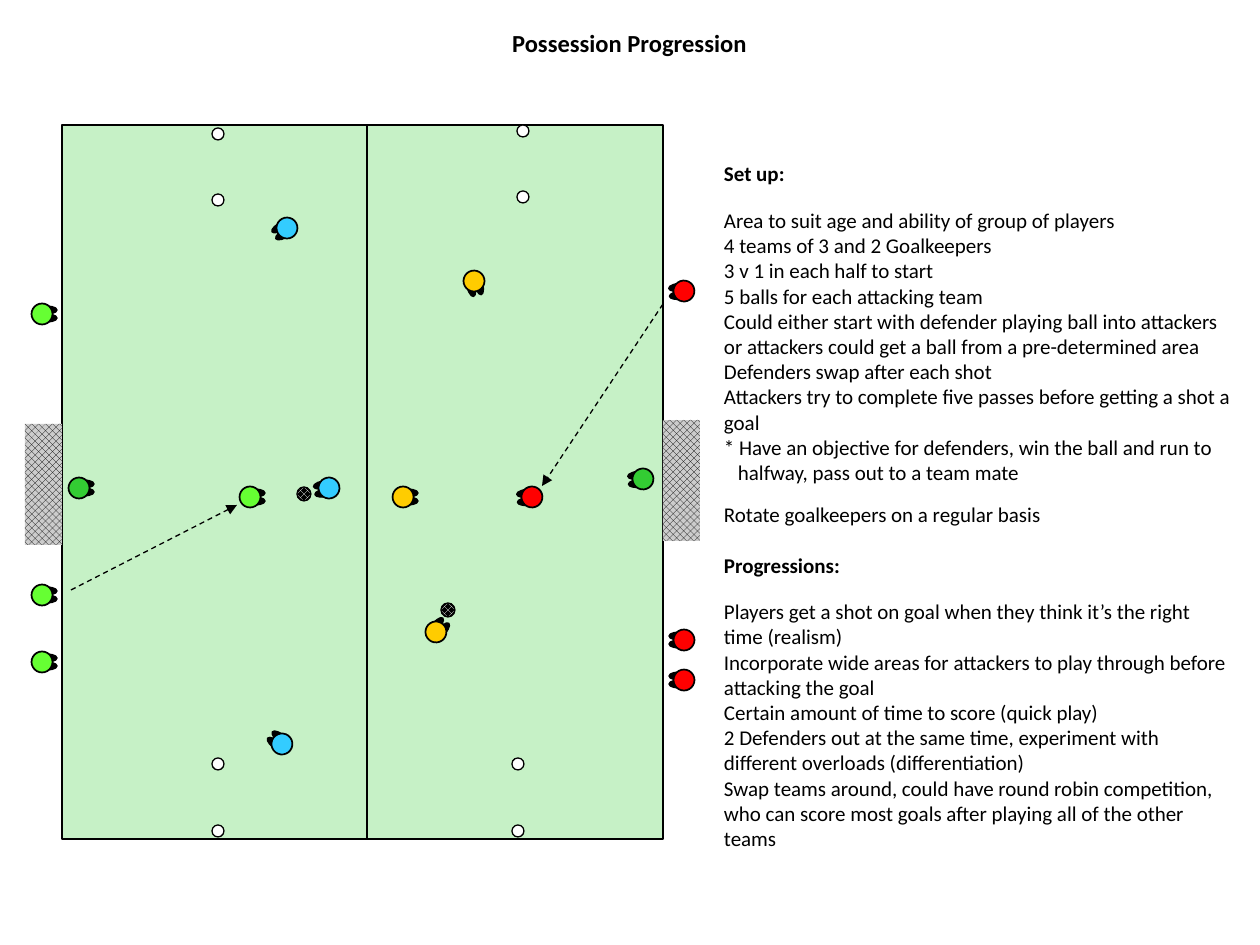
from math import cos, radians, sin

from lxml import etree
from pptx import Presentation
from pptx.dml.color import RGBColor
from pptx.enum.dml import MSO_LINE, MSO_PATTERN
from pptx.enum.shapes import MSO_CONNECTOR, MSO_SHAPE
from pptx.enum.text import MSO_ANCHOR, PP_ALIGN
from pptx.oxml.ns import qn
from pptx.util import Pt

EMU_PER_PX = 914400 / 126
FONT = "Calibri"
BLACK, WHITE, GREY, GRASS = "000000", "FFFFFF", "CCCCCC", "C6F1C6"
YELLOW, BLUE, RED, LIME, KEEPER = "FFCC00", "33CCFF", "FF0000", "66FF33", "33CC33"

# Places on the pitch, in px from its top left corner
PLAYERS = [  # x, y, facing in degrees, team
    (412, 156, 167, YELLOW), (341, 372, 90, YELLOW), (374, 507, 41, YELLOW),
    (225, 103, 241, BLUE), (220, 619, 307, BLUE), (267, 363, 260, BLUE),
    (622, 166, 265, RED), (622, 515, 270, RED), (622, 555, 270, RED), (470, 372, 265, RED),
    (-20, 189, 90, LIME), (-20, 470, 90, LIME), (-20, 537, 90, LIME), (188, 372, 90, LIME),
    (17, 363, 90, KEEPER), (581, 354, 265, KEEPER),
]
CONES = [(156, 9), (156, 75), (156, 639), (156, 706),
         (461, 6), (461, 72), (456, 639), (456, 706)]
BALLS = [(386, 485), (242, 369)]
NETS = [(-37, 299), (601, 295)]
PASSES = [((601, 179), (480, 361)), ((9, 465), (175, 380))]

# Text, format; gap is the space before in points
NOTES = [
    ("Set up:", dict(bold=True)),
    ("Area to suit age and ability of group of players", dict(gap=12.2)),
    ("4 teams of 3 and 2 Goalkeepers", {}),
    ("3 v 1 in each half to start", {}),
    ("5 balls for each attacking team", {}),
    ("Could either start with defender playing ball into attackers or attackers "
     "could get a ball from a pre-determined area", {}),
    ("Defenders swap after each shot", {}),
    ("Attackers try to complete five passes before getting a shot a goal", {}),
    ("* Have an objective for defenders, win the ball and run to", {}),
    ("halfway, pass out to a team mate", dict(indent=14)),
    ("Rotate goalkeepers on a regular basis", dict(gap=9.8)),
    ("Progressions:", dict(bold=True, gap=14.4)),
    ("Players get a shot on goal when they think it’s the right time (realism)",
     dict(gap=12.2)),
    ("Incorporate wide areas for attackers to play through before attacking the goal", {}),
    ("Certain amount of time to score (quick play)", {}),
    ("2 Defenders out at the same time, experiment with different overloads "
     "(differentiation)", {}),
    ("Swap teams around, could have round robin competition, who can score most goals "
     "after playing all of the other teams", {}),
]


def px(length):
    return round(length * EMU_PER_PX)


def color(hex_code):
    return RGBColor.from_string(hex_code)


def add_preset(slide, kind, box, fill, line=None, pattern=None, rotation=0):
    shape = slide.shapes.add_shape(kind, *map(px, box))
    shape.shadow.inherit = False
    shape.rotation = rotation
    if pattern is None:
        shape.fill.solid()
        shape.fill.fore_color.rgb = color(fill)
    else:
        shape.fill.patterned()
        shape.fill.pattern = pattern
        shape.fill.fore_color.rgb, shape.fill.back_color.rgb = map(color, fill)
    if line is None:
        shape.line.fill.background()
    else:
        shape.line.color.rgb = color(BLACK)
        shape.line.width = Pt(line)


def add_disc(slide, center, size, fill, **style):
    (x, y), (width, height) = center, size
    box = (x - width / 2, y - height / 2, width, height)
    add_preset(slide, MSO_SHAPE.OVAL, box, fill, **style)


def add_line(slide, start, end, arrow=False):
    line = slide.shapes.add_connector(MSO_CONNECTOR.STRAIGHT, *map(px, (*start, *end)))
    line.line.color.rgb = color(BLACK)
    line.line.width = Pt(0.75)
    properties = line._element.spPr
    if arrow:
        line.line.dash_style = MSO_LINE.DASH
        etree.SubElement(properties.find(qn("a:ln")), qn("a:tailEnd"), type="triangle")
    etree.SubElement(properties, qn("a:effectLst"))


def add_player(slide, x, y, facing, team):
    # Two feet ahead of the body, turned with it
    turn = radians(facing)
    for side in (-4, 4):
        foot = (x + side * cos(turn) + 5 * sin(turn), y + side * sin(turn) - 5 * cos(turn))
        add_disc(slide, foot, (8, 20), BLACK, line=0.75, rotation=facing)
    add_disc(slide, (x, y), (21, 21), team, line=1, rotation=facing)


def write(paragraph, text, size=12, bold=False, align=PP_ALIGN.LEFT, gap=0, indent=0):
    if indent:
        paragraph._p.get_or_add_pPr().set("marL", str(px(indent)))
    paragraph.alignment = align
    if gap:
        paragraph.space_before = Pt(gap)
    run = paragraph.add_run()
    run.text = text
    run.font.name, run.font.size, run.font.bold = FONT, Pt(size), bold
    run.font.color.rgb = color(BLACK)


def add_text_frame(slide, box, anchor=MSO_ANCHOR.TOP):
    frame = slide.shapes.add_textbox(*map(px, box)).text_frame
    frame.word_wrap = True
    frame.vertical_anchor = anchor
    frame.margin_left = frame.margin_right = px(5)
    frame.margin_top = frame.margin_bottom = px(5)
    return frame


def draw_title(slide, box):
    frame = add_text_frame(slide, box, MSO_ANCHOR.MIDDLE)
    write(frame.paragraphs[0], "Possession Progression", size=14, bold=True,
          align=PP_ALIGN.CENTER)


def draw_pitch(slide, box):
    left, top, width, height = box

    def at(x, y):
        return left + x, top + y

    # Field, goals and halfway line
    add_preset(slide, MSO_SHAPE.RECTANGLE, box, GRASS, line=1)
    for net in NETS:
        add_preset(slide, MSO_SHAPE.RECTANGLE, (*at(*net), 37, 121), (BLACK, GREY),
                   pattern=MSO_PATTERN.OUTLINED_DIAMOND)
    add_line(slide, at(305, 0), at(305, height))

    # Cones, passes, players and balls
    for cone in CONES:
        add_disc(slide, at(*cone), (12, 12), WHITE, line=0.75)
    for start, end in PASSES:
        add_line(slide, at(*start), at(*end), arrow=True)
    for x, y, facing, team in PLAYERS:
        add_player(slide, *at(x, y), facing, team)
    for ball in BALLS:
        add_disc(slide, at(*ball), (14, 14), (WHITE, BLACK), line=0.75,
                 pattern=MSO_PATTERN.SOLID_DIAMOND)


def draw_notes(slide, box):
    frame = add_text_frame(slide, box)
    for number, (text, style) in enumerate(NOTES):
        paragraph = frame.add_paragraph() if number else frame.paragraphs[0]
        write(paragraph, text, **style)


def main():
    deck = Presentation()
    deck.slide_width, deck.slide_height = px(1260), px(945)
    slide = deck.slides.add_slide(deck.slide_layouts[6])
    draw_title(slide, (94, 26, 1071, 34))
    draw_pitch(slide, (62, 125, 601, 714))
    draw_notes(slide, (719, 156, 517, 770))
    deck.save("out.pptx")


if __name__ == "__main__":
    main()
